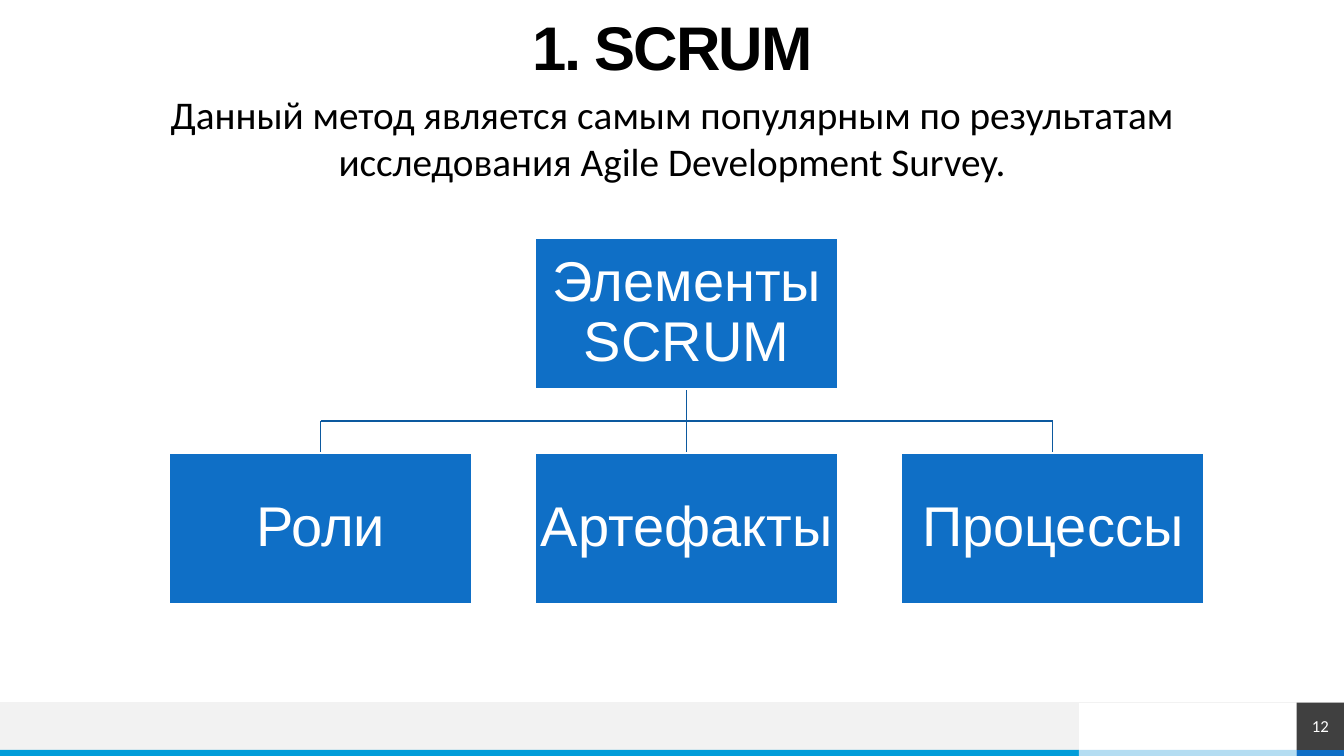
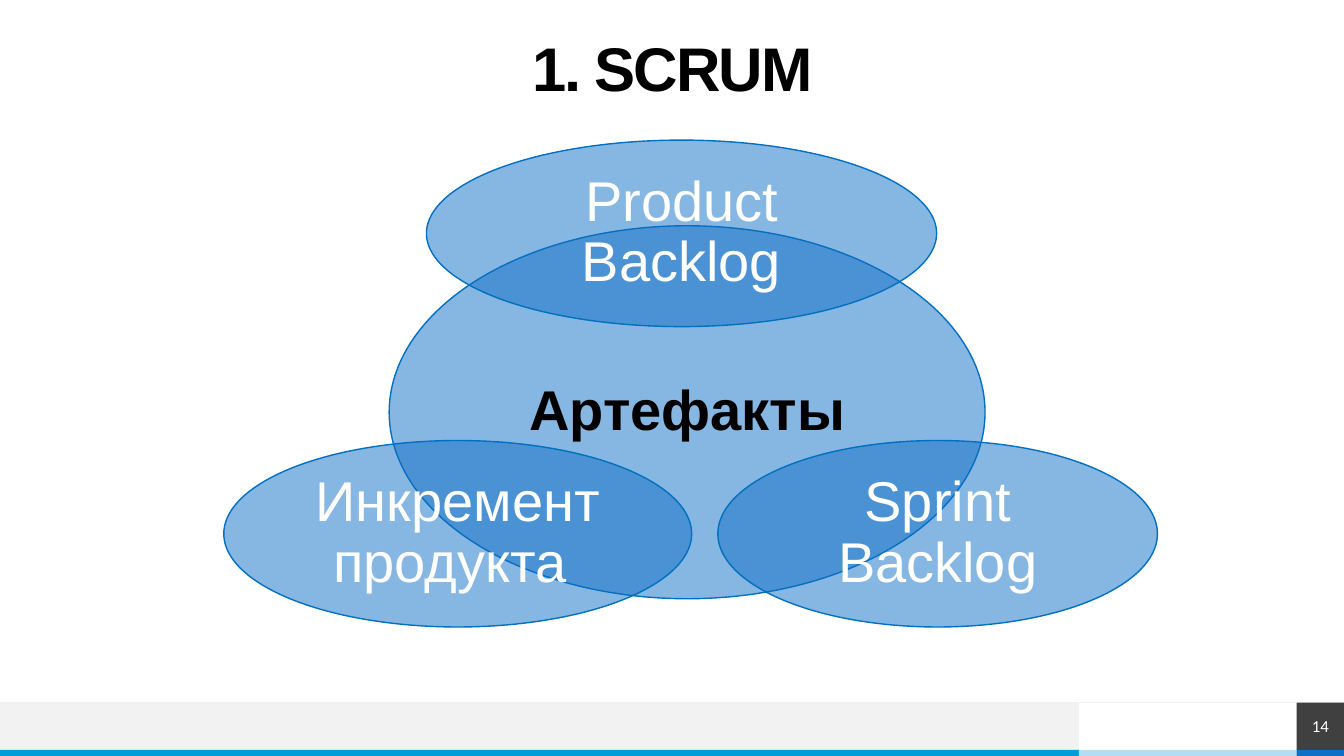
from lxml.etree import SubElement
from pptx import Presentation
from pptx.dml.color import RGBColor
from pptx.enum.shapes import MSO_CONNECTOR, MSO_SHAPE
from pptx.enum.text import MSO_ANCHOR, MSO_AUTO_SIZE, PP_ALIGN
from pptx.oxml.ns import qn
from pptx.util import Inches, Pt

BLACK = RGBColor(0x00, 0x00, 0x00)
WHITE = RGBColor(0xFF, 0xFF, 0xFF)
BLUE = RGBColor(0x0F, 0x6F, 0xC6)
OUTLINE_BLUE = RGBColor(0x00, 0x70, 0xC0)
BRANCH_BLUE = RGBColor(0x0C, 0x59, 0x9F)
CYAN = RGBColor(0x00, 0x9D, 0xD9)
PALE_CYAN = RGBColor(0xB3, 0xDD, 0xF2)
LIGHT_GRAY = RGBColor(0xF2, 0xF2, 0xF2)
DARK_GRAY = RGBColor(0x40, 0x40, 0x40)

SLIDE_WIDTH, SLIDE_HEIGHT = 13.33, 7.5
FOOTER_TOP, STRIPE_TOP = 6.97, 7.44
BAND_END, NUMBER_LEFT = 10.7, 12.86
TITLE_ONLY = 5


def write_text(shape, text, *, size, font="Arial", color=BLACK, bold=False,
               line_spacing=1.0, tracking=None, inset=None,
               anchor=MSO_ANCHOR.MIDDLE, autofit=MSO_AUTO_SIZE.NONE):
    """Fill a shape with one centred paragraph."""
    frame = shape.text_frame
    frame.word_wrap = True
    frame.auto_size = autofit
    frame.vertical_anchor = anchor
    if inset is not None:
        frame.margin_left = frame.margin_right = Inches(inset)
        frame.margin_top = frame.margin_bottom = Inches(inset)
    paragraph = frame.paragraphs[0]
    paragraph.alignment = PP_ALIGN.CENTER
    paragraph.line_spacing = line_spacing
    run = paragraph.add_run()
    run.text = text
    run.font.name = font
    run.font.size = Pt(size)
    run.font.bold = bold
    run.font.color.rgb = color
    if tracking is not None:
        run.font._element.set("spc", str(int(tracking * 100)))


class Deck:
    """Shared style and the slide being built."""

    def __init__(self):
        self.presentation = Presentation()
        self.presentation.slide_width = Inches(SLIDE_WIDTH)
        self.presentation.slide_height = Inches(SLIDE_HEIGHT)
        self.slide = None

    def add_slide(self, title, number, title_top):
        layout = self.presentation.slide_layouts[TITLE_ONLY]
        self.slide = self.presentation.slides.add_slide(layout)
        self.add_footer(number)
        heading = self.slide.shapes.title
        heading.left, heading.top = Inches(0.47), Inches(title_top)
        heading.width, heading.height = Inches(12.4), Inches(0.47)
        write_text(heading, title, size=44, bold=True, line_spacing=0.9,
                   tracking=-1.5, inset=0)

    def add_footer(self, number):
        band_height = STRIPE_TOP - FOOTER_TOP
        stripe_height = SLIDE_HEIGHT - STRIPE_TOP
        self.add_block(0, FOOTER_TOP, BAND_END, band_height, LIGHT_GRAY)
        edges = (0, BAND_END, NUMBER_LEFT, SLIDE_WIDTH)
        for left, right, color in zip(edges, edges[1:], (CYAN, PALE_CYAN, BLUE)):
            self.add_block(left, STRIPE_TOP, right - left, stripe_height, color)
        self.add_line(0, FOOTER_TOP, SLIDE_WIDTH, FOOTER_TOP, LIGHT_GRAY, 0.5)
        number_box = self.add_block(NUMBER_LEFT, FOOTER_TOP,
                                    SLIDE_WIDTH - NUMBER_LEFT, band_height, DARK_GRAY)
        write_text(number_box, str(number), size=12, font="Calibri",
                   color=WHITE, inset=0)

    def add_block(self, left, top, width, height, fill, *,
                  kind=MSO_SHAPE.RECTANGLE, line=None, line_width=1, opacity=None):
        shape = self.slide.shapes.add_shape(
            kind, Inches(left), Inches(top), Inches(width), Inches(height))
        shape.shadow.inherit = False
        shape.fill.solid()
        shape.fill.fore_color.rgb = fill
        if opacity is not None:
            color = shape._element.spPr.find(qn("a:solidFill")).find(qn("a:srgbClr"))
            SubElement(color, qn("a:alpha")).set("val", str(opacity * 1000))
        if line is None:
            shape.line.fill.background()
        else:
            shape.line.color.rgb = line
            shape.line.width = Pt(line_width)
        return shape

    def add_line(self, x1, y1, x2, y2, color, width):
        line = self.slide.shapes.add_connector(
            MSO_CONNECTOR.STRAIGHT, Inches(x1), Inches(y1), Inches(x2), Inches(y2))
        line.line.color.rgb = color
        line.line.width = Pt(width)
        SubElement(line._element.spPr, qn("a:effectLst"))

    def add_node(self, text, center, top, width, height):
        node = self.add_block(center - width / 2, top, width, height, BLUE,
                              line=WHITE, line_width=1.5)
        write_text(node, text, size=40, color=WHITE, line_spacing=0.9, inset=0.03)

    def add_ellipse(self, text, left, top, width, height, *, color=WHITE, bold=False):
        ellipse = self.add_block(left, top, width, height, BLUE, kind=MSO_SHAPE.OVAL,
                                 line=OUTLINE_BLUE, opacity=50)
        write_text(ellipse, text, size=40, color=color, bold=bold,
                   line_spacing=0.9, inset=0.06)

    def add_statement(self, text, left, top, width, height):
        statement = self.slide.shapes.add_textbox(
            Inches(left), Inches(top), Inches(width), Inches(height))
        write_text(statement, text, size=28, font="Calibri", anchor=MSO_ANCHOR.TOP,
                   autofit=MSO_AUTO_SIZE.SHAPE_TO_FIT_TEXT)


def build_elements_slide(deck):
    deck.add_slide("1. SCRUM", 12, title_top=0.27)

    # Tree geometry
    node_width, node_height = 3, 1.5
    root_top, child_top = 2.36, 4.49
    root_center, pitch = 6.81, 3.63
    root_bottom = root_top + node_height
    branch_y = (root_bottom + child_top) / 2
    children = ("Роли", "Артефакты", "Процессы")
    centers = [root_center + pitch * (i - 1) for i in range(len(children))]

    # Branches, then nodes over their ends
    deck.add_line(root_center, root_bottom, root_center, child_top, BRANCH_BLUE, 1)
    deck.add_line(centers[0], branch_y, centers[-1], branch_y, BRANCH_BLUE, 1)
    for center in (centers[0], centers[-1]):
        deck.add_line(center, branch_y, center, child_top, BRANCH_BLUE, 1)
    deck.add_node("Элементы SCRUM", root_center, root_top, node_width, node_height)
    for child, center in zip(children, centers):
        deck.add_node(child, center, child_top, node_width, node_height)

    deck.add_statement("Данный метод является самым популярным по результатам "
                       "исследования Agile Development Survey.",
                       1.21, 0.85, 10.91, 1.04)


def build_artifacts_slide(deck):
    deck.add_slide("1. SCRUM", 14, title_top=0.47)

    # Central theme and the three artifacts around it
    deck.add_ellipse("Артефакты", 3.86, 2.24, 5.91, 3.7, color=BLACK, bold=True)
    artifact_height = 1.85
    for artifact, left, top, width in (
            ("Product Backlog", 4.23, 1.39, 5.06),
            ("Sprint Backlog", 7.12, 4.37, 4.36),
            ("Инкремент продукта ", 2.22, 4.37, 4.64)):
        deck.add_ellipse(artifact, left, top, width, artifact_height)


def main():
    deck = Deck()
    build_elements_slide(deck)
    build_artifacts_slide(deck)
    deck.presentation.save("out.pptx")


if __name__ == "__main__":
    main()
